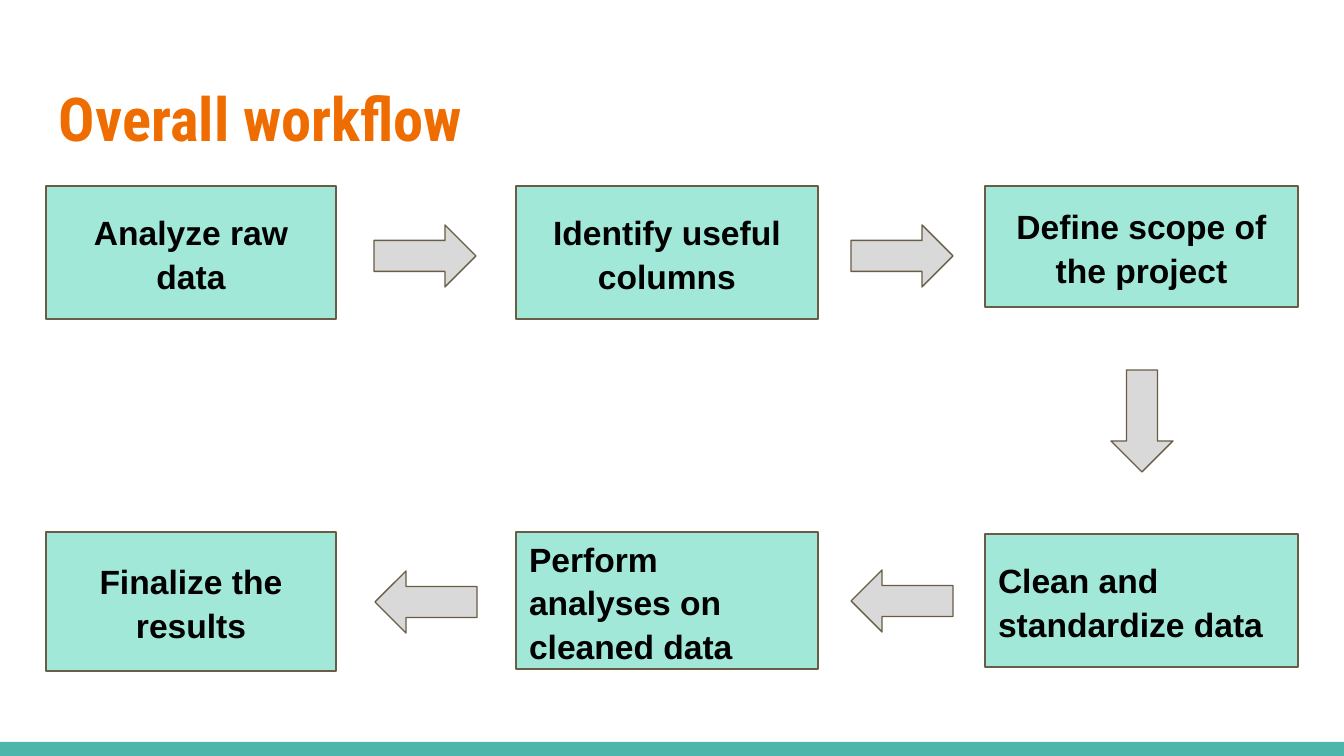
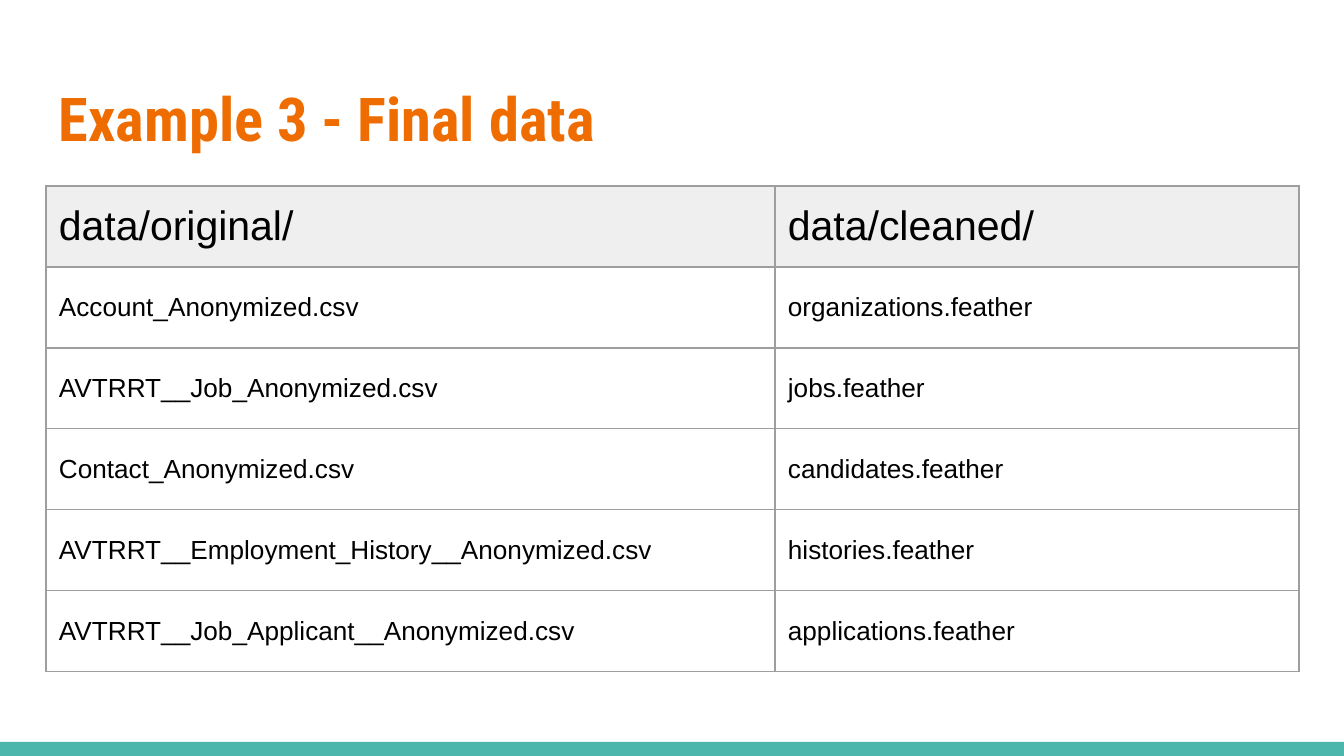
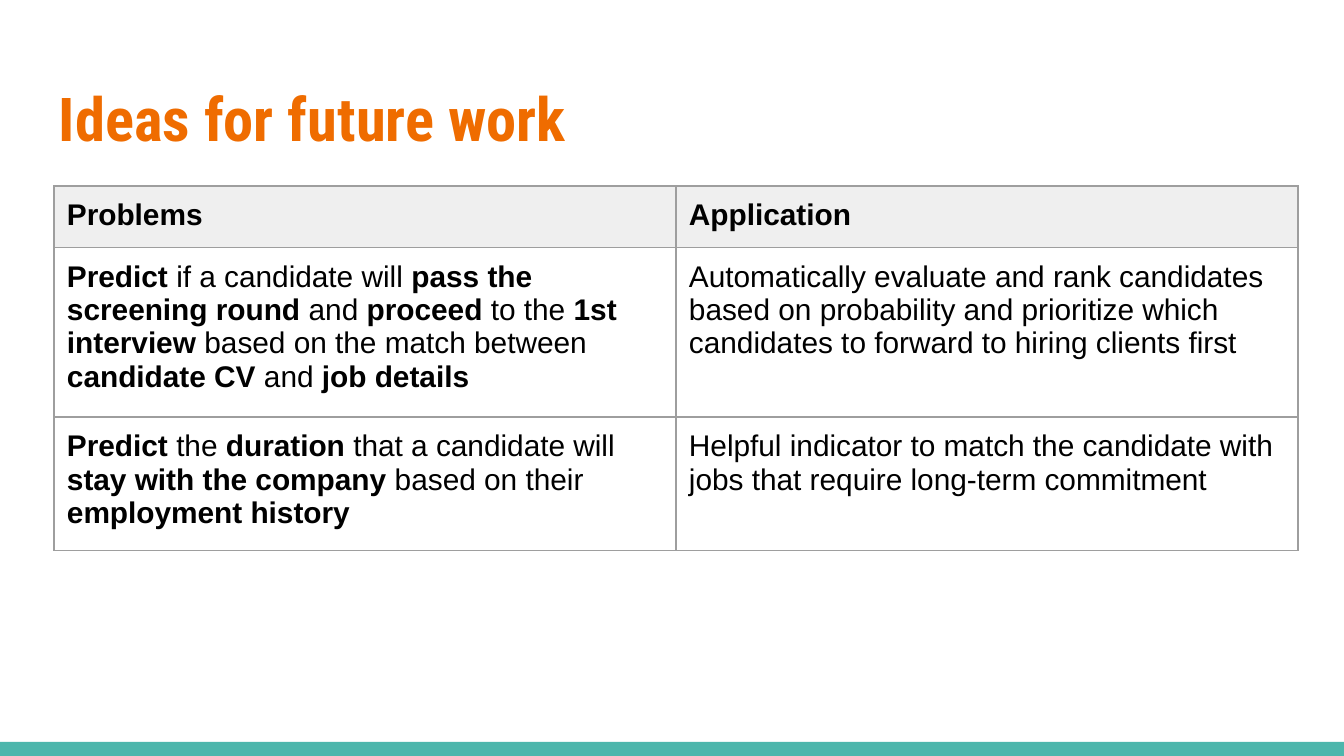
from itertools import accumulate
from lxml.etree import SubElement
from pptx import Presentation
from pptx.dml.color import RGBColor
from pptx.enum.shapes import MSO_SHAPE
from pptx.enum.text import MSO_ANCHOR, PP_ALIGN
from pptx.oxml.ns import qn
from pptx.util import Emu, Pt

WIDE, HIGH = 1344, 756
EDGE, TOP, PAD = 46, 186, 13
COLORS = {
    "title": "EF6C00", "band": "4DB6AC", "box": "A1E8D9", "line": "695D46",
    "arrow": "D9D9D9", "ink": "000000", "head": "EFEFEF", "rule": "9E9E9E",
}

LEFT, MID = PP_ALIGN.LEFT, PP_ALIGN.CENTER
COLUMNS = [(EDGE, 290), (516, 302), (985, 313)]
STEPS = [
    ("Analyze raw data", 0, TOP, 133, MID),
    ("Identify useful columns", 1, TOP, 133, MID),
    ("Define scope of the project", 2, TOP, 121, MID),
    ("Clean and standardize data", 2, 534, 133, LEFT),
    ("Perform analyses on cleaned data", 1, 532, 137, LEFT),
    ("Finalize the results", 0, 532, 139, MID),
]
ARROWS = [(374, 225, 0), (851, 225, 0), (1091, 390, 90), (851, 570, 180), (375, 571, 180)]

FILES = [
    ("data/original/", "data/cleaned/"),
    ("Account_Anonymized.csv", "organizations.feather"),
    ("AVTRRT__Job_Anonymized.csv", "jobs.feather"),
    ("Contact_Anonymized.csv", "candidates.feather"),
    ("AVTRRT__Employment_History__Anonymized.csv", "histories.feather"),
    ("AVTRRT__Job_Applicant__Anonymized.csv", "applications.feather"),
]
IDEAS = [
    ("**Problems**", "**Application**"),
    ("**Predict **if a candidate will **pass the screening round** and **proceed **to the "
     "**1st interview **based on the match between **candidate CV** and **job details**",
     "Automatically evaluate and rank candidates based on probability and prioritize "
     "which candidates to forward to hiring clients first"),
    ("**Predict **the **duration **that a candidate will **stay with the company** "
     "based on their **employment history**",
     "Helpful indicator to match the candidate with jobs that require long-term commitment"),
]


def px(*sizes):
    return [Emu(round(size * 914400 / 134.4)) for size in sizes]


def tint(name):
    return RGBColor.from_string(COLORS[name])


def write(host, parts, size=18, font="Arial", color="ink", align=LEFT,
          anchor=MSO_ANCHOR.MIDDLE, space=None):
    frame = getattr(host, "text_frame", host)
    frame.word_wrap = True
    host.vertical_anchor = anchor
    host.margin_left, host.margin_top, host.margin_right, host.margin_bottom = px(*[PAD] * 4)
    para = frame.paragraphs[0]
    para.alignment = align
    if space:
        para.line_spacing = space
    for part, bold in parts:
        run = para.add_run()
        run.text = part
        run.font.size, run.font.name, run.font.bold = Pt(size), font, bold
        run.font.color.rgb = tint(color)


def split(text):
    return [(part, i % 2 == 1) for i, part in enumerate(text.split("**")) if part]


def draw(slide, kind, area, fill, line=None):
    shape = slide.shapes.add_shape(kind, *px(*area))
    shape.shadow.inherit = False
    shape.fill.solid()
    shape.fill.fore_color.rgb = tint(fill)
    if line:
        shape.line.color.rgb, shape.line.width = tint(line), Pt(0.75)
    else:
        shape.line.fill.background()
    return shape


def start(deck, title):
    slide = deck.slides.add_slide(deck.slide_layouts[6])
    draw(slide, MSO_SHAPE.RECTANGLE, (0, 742, WIDE, 14), "band")
    box = slide.shapes.add_textbox(*px(EDGE, 66, 1252, 103))
    write(box.text_frame, [(title, True)], size=32.4, font="Roboto Condensed", color="title")
    return slide


def edge(cell):
    props = cell._tc.get_or_add_tcPr()
    for side in ("lnL", "lnR", "lnT", "lnB"):
        line = SubElement(props, qn(f"a:{side}"), w=str(Pt(0.75)))
        fill = SubElement(line, qn("a:solidFill"))
        SubElement(fill, qn("a:srgbClr"), val=COLORS["rule"])


def grid(slide, data, left, wides, highs, sizes, anchor):
    area = px(left, TOP, sum(wides), sum(highs))
    table = slide.shapes.add_table(len(data), len(wides), *area).table
    table.first_row = table.horz_banding = False
    for col, wide in zip(table.columns, px(*wides)):
        col.width = wide
    for row, high in zip(table.rows, px(*highs)):
        row.height = high
    for r, texts in enumerate(data):
        for c, text in enumerate(texts):
            cell = table.cell(r, c)
            edge(cell)
            if r == 0:
                cell.fill.solid()
                cell.fill.fore_color.rgb = tint("head")
            else:
                cell.fill.background()
            write(cell, split(text), size=sizes[r > 0], anchor=anchor)


def flow(slide):
    for text, col, top, high, align in STEPS:
        left, wide = COLUMNS[col]
        box = draw(slide, MSO_SHAPE.RECTANGLE, (left, top, wide, high), "box", "line")
        write(box.text_frame, [(text, True)], align=align, space=1.08)
    for left, top, turn in ARROWS:
        arrow = draw(slide, MSO_SHAPE.RIGHT_ARROW, (left, top, 102, 62), "arrow", "line")
        arrow.rotation = turn


def main():
    deck = Presentation()
    deck.slide_width, deck.slide_height = px(WIDE, HIGH)
    flow(start(deck, "Overall workflow"))
    grid(start(deck, "Example 3 - Final data"), FILES, EDGE, [729, 524], [81] * 6,
         (22, 14), MSO_ANCHOR.MIDDLE)
    grid(start(deck, "Ideas for future work"), IDEAS, 54, [622, 622], [60, 159, 126],
         (16, 16), MSO_ANCHOR.TOP)
    deck.save("out.pptx")


if __name__ == "__main__":
    main()
